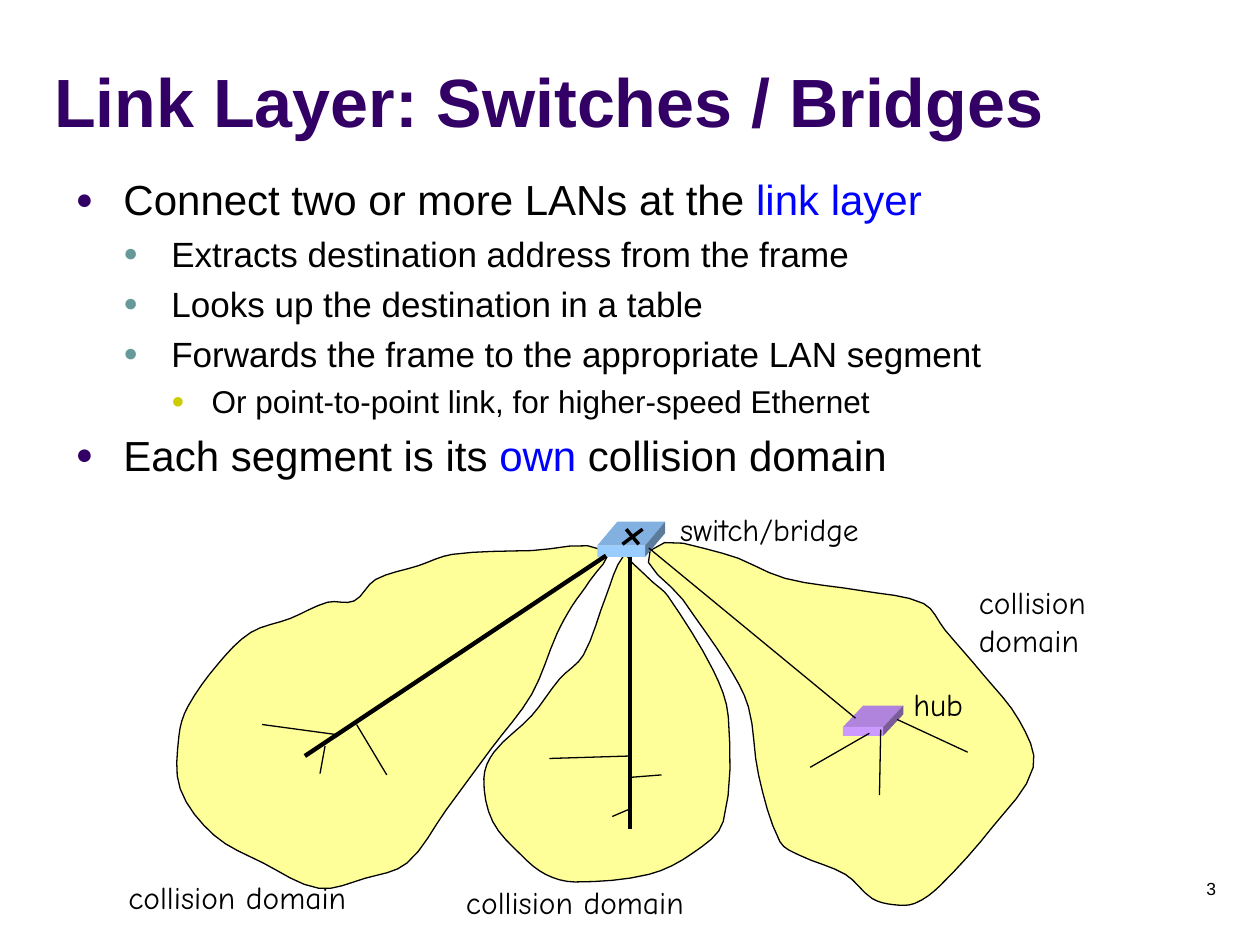
"""Build the slide on link-layer switches and bridges."""
from pptx import Presentation, util as u
from pptx.dml.color import RGBColor
from pptx.enum import shapes, text
from pptx.oxml import parse_xml
from pptx.oxml.ns import nsdecls

THEME = {
    "ink": "000000", "title": "330066", "key": "0000FF", "zone": "FFFF99",
    "bullets": ("330066", "669999", "CCCC00"),
    "switch": ("99CCFF", "82B0E0", "5C7A99"), "hub": ("CC99FF", "B084DC", "7A5C99"),
    "sans": "Arial", "hand": "Comic Neue",
    "head": 39, "body": (24, 20, 18), "label": 18, "page": 10,
}

deck = Presentation()
deck.slide_width, deck.slide_height = u.Inches(10), u.Inches(7.5)
cell = deck.slide_width / 10
slide = deck.slides.add_slide(deck.slide_layouts[1])
board = slide.shapes


def style(font, color, **form):
    """Set font attributes from a dict of format values."""
    font.color.rgb = RGBColor.from_string(color)
    for name, value in form.items():
        setattr(font, name, value)


def outline(points, fill, width=0):
    """Draw a closed polygon from points in grid cells."""
    dots = [(round(x * cell), round(y * cell)) for x, y in points]
    pen = board.build_freeform(*dots[0])
    pen.add_line_segments(dots[1:], close=True)
    form = pen.convert_to_shape()
    form.shadow.inherit = False
    form.fill.solid()
    form.fill.fore_color.rgb = RGBColor.from_string(fill)
    if width:
        form.line.color.rgb = RGBColor.from_string(THEME["ink"])
        form.line.width = u.Pt(width)
    else:
        form.line.fill.background()


title, body = board.title, slide.placeholders[1]
for box, area in ((title, (0.33, 0.42, 8.82, 0.75)), (body, (0.5, 1.33, 9.25, 2.67))):
    box.left, box.top, box.width, box.height = (round(v * cell) for v in area)
    box.text_frame.auto_size = text.MSO_AUTO_SIZE.NONE
    box.text_frame.word_wrap = True

title.text_frame.text = "Link Layer: Switches / Bridges"
title.text_frame.vertical_anchor = text.MSO_ANCHOR.BOTTOM
line = title.text_frame.paragraphs[0]
line.alignment = text.PP_ALIGN.LEFT
style(line.runs[0].font, THEME["title"], name=THEME["sans"], size=u.Pt(THEME["head"]), bold=True)

body.text_frame.vertical_anchor = text.MSO_ANCHOR.TOP
points = (
    (0, ("Connect two or more LANs at the ", "link layer")),
    (1, ("Extracts destination address from the frame",)),
    (1, ("Looks up the destination in a table",)),
    (1, ("Forwards the frame to the appropriate LAN segment",)),
    (2, ("Or point-to-point link, for higher-speed Ethernet",)),
    (0, ("Each segment is its ", "own", " collision domain")),
)
indents = ((0.38, 0.38), (0.76, 0.38), (1.08, 0.32))
for row, (level, parts) in enumerate(points):
    line = body.text_frame.add_paragraph() if row else body.text_frame.paragraphs[0]
    size = THEME["body"][level]
    line.level = level
    line.space_before = u.Pt(round(0.23 * size, 1) if row else 0)
    props = line._p.get_or_add_pPr()
    left, hang = indents[level]
    props.set("marL", str(u.Inches(left)))
    props.set("indent", str(-u.Inches(hang)))
    for mark in (
        f'<a:buClr {nsdecls("a")}><a:srgbClr val="{THEME["bullets"][level]}"/></a:buClr>',
        f'<a:buSzPct {nsdecls("a")} val="70000"/>',
        f'<a:buFont {nsdecls("a")} typeface="{THEME["sans"]}"/>',
        f'<a:buChar {nsdecls("a")} char="●"/>',
    ):
        props.append(parse_xml(mark))
    for turn, part in enumerate(parts):
        run = line.add_run()
        run.text = part
        style(run.font, THEME["key" if turn == 1 else "ink"], name=THEME["sans"], size=u.Pt(size))

zones = (
    ((5.16, 4.37), (5.42, 4.76), (5.77, 5.27), (5.94, 5.61), (6.02, 6.15), (6.19, 6.68),
     (6.35, 6.79), (6.71, 6.94), (6.92, 7.13), (7.09, 7.18), (7.26, 7.17), (7.46, 7.03),
     (7.88, 6.56), (8.2, 6.09), (8.09, 5.72), (7.8, 5.35), (7.5, 5), (7.33, 4.79),
     (6.85, 4.69), (6.23, 4.59), (5.73, 4.39)),
    ((4.95, 4.41), (4.81, 4.73), (4.63, 5.2), (4.44, 5.39), (4.22, 5.68), (3.92, 5.97),
     (3.84, 6.18), (3.91, 6.52), (4.14, 6.79), (4.33, 6.94), (4.56, 7), (5.15, 6.94),
     (5.5, 6.77), (5.74, 6.52), (5.78, 5.69), (5.66, 5.32), (5.3, 4.73), (5.18, 4.62),
     (5.02, 4.47)),
    ((4.8, 4.37), (4.22, 4.37), (3.59, 4.4), (3.32, 4.49), (2.98, 4.6), (2.81, 4.77),
     (2.6, 4.78), (2.3, 4.91), (1.99, 5.02), (1.73, 5.27), (1.49, 5.61), (1.42, 5.84),
     (1.43, 6.26), (1.7, 6.63), (2.09, 6.85), (2.53, 7.05), (2.9, 6.97), (3.23, 6.85),
     (3.54, 6.43), (3.9, 5.94), (4.22, 5.51), (4.42, 5.03), (4.54, 4.81), (4.68, 4.61)),
)
for zone in zones:
    knots = [complex(*spot) for spot in zone]
    curve = []
    for i, near in enumerate(knots):
        prior, far, after = (knots[(i + step) % len(knots)] for step in (-1, 1, 2))
        reach = abs(far - near) / 3
        leave = near + reach * (far - prior) / abs(far - prior)
        enter = far - reach * (after - near) / abs(after - near)
        for t in (0, 0.25, 0.5, 0.75):
            s = 1 - t
            spot = s**3 * near + 3 * s * s * t * leave + 3 * s * t * t * enter + t**3 * far
            curve.append((spot.real, spot.imag))
    outline(curve, THEME["zone"], 0.75)

for name, left, top, width, rise, deep in (
    ("switch", 4.74, 4.33, 0.38, 0.19, 0.09),
    ("hub", 6.69, 5.77, 0.32, 0.17, 0.07),
):
    front, lid, side = THEME[name]
    right, back, skew = left + width, top - rise, 0.16
    far = right + skew
    outline(((left, top), (left + skew, back), (far, back), (right, top)), lid)
    outline(((right, top), (far, back), (far, back + deep), (right, top + deep)), side)
    face = board.add_shape(shapes.MSO_SHAPE.RECTANGLE, *(round(v * cell) for v in (left, top, width, deep)))
    face.shadow.inherit = False
    face.fill.solid()
    face.fill.fore_color.rgb = RGBColor.from_string(front)
    face.line.fill.background()

wires = {
    0.75: ((2.67, 5.83, 2.08, 5.75), (2.58, 5.92, 2.54, 6.14), (2.83, 5.75, 3.07, 6.15),
           (5, 6, 4.36, 6.02), (5, 6.42, 4.86, 6.48), (5, 6.17, 5.25, 6.15),
           (6.9, 5.82, 6.43, 6.09), (6.99, 5.79, 6.98, 6.31), (7.12, 5.71, 7.68, 5.97),
           (6.79, 5.7, 5.15, 4.35)),
    2: ((4.97, 4.2, 5.07, 4.32), (5.1, 4.2, 4.94, 4.32)),
    2.5: ((4.81, 4.41, 2.42, 6), (5, 4.42, 5, 6.58)),
}
for width, ends in wires.items():
    for end in ends:
        wire = board.add_connector(shapes.MSO_CONNECTOR.STRAIGHT, *(round(v * cell) for v in end))
        wire.line.color.rgb = RGBColor.from_string(THEME["ink"])
        wire.line.width = u.Pt(width)
        wire._element.spPr.append(parse_xml(f'<a:effectLst {nsdecls("a")}/>'))

for words, area, kind in (
    ("hub", (7.15, 5.39, 0.62, 0.4), "label"),
    ("switch/bridge", (5.3, 4, 1.84, 0.4), "label"),
    ("collision domain", (0.92, 6.92, 2, 0.4), "label"),
    ("collision domain", (3.6, 6.96, 2, 0.4), "label"),
    ("collision \vdomain", (7.67, 4.58, 1.2, 0.7), "label"),
    ("3", (8.75, 6.92, 1, 0.42), "page"),
):
    page = kind == "page"
    frame = board.add_textbox(*(round(v * cell) for v in area)).text_frame
    frame.word_wrap = page
    frame.auto_size = text.MSO_AUTO_SIZE.NONE if page else text.MSO_AUTO_SIZE.SHAPE_TO_FIT_TEXT
    line = frame.paragraphs[0]
    line.text = words
    line.alignment = text.PP_ALIGN.RIGHT if page else text.PP_ALIGN.LEFT
    for run in line.runs:
        style(run.font, THEME["ink"], name=THEME["sans" if page else "hand"], size=u.Pt(THEME[kind]))

deck.save("out.pptx")
